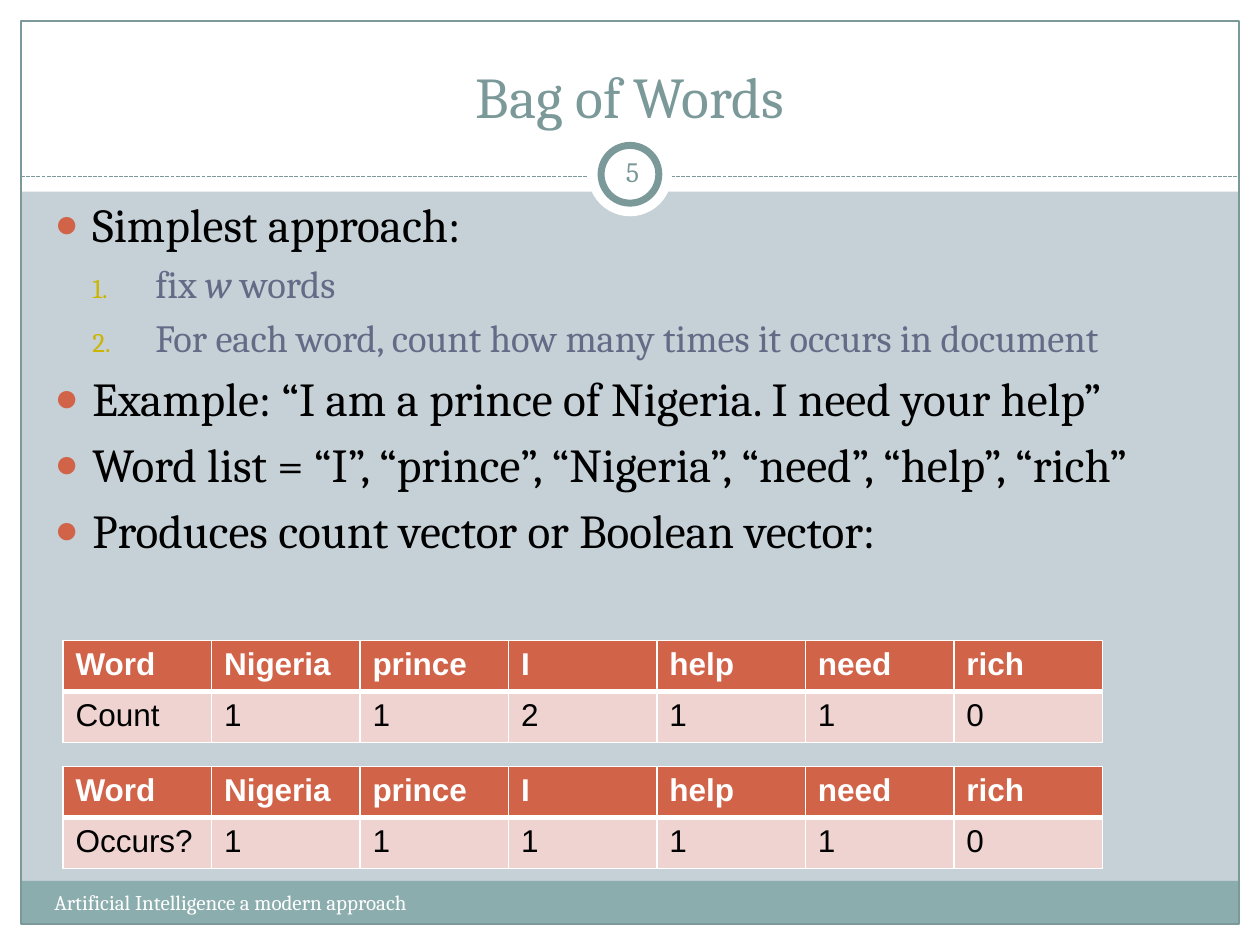
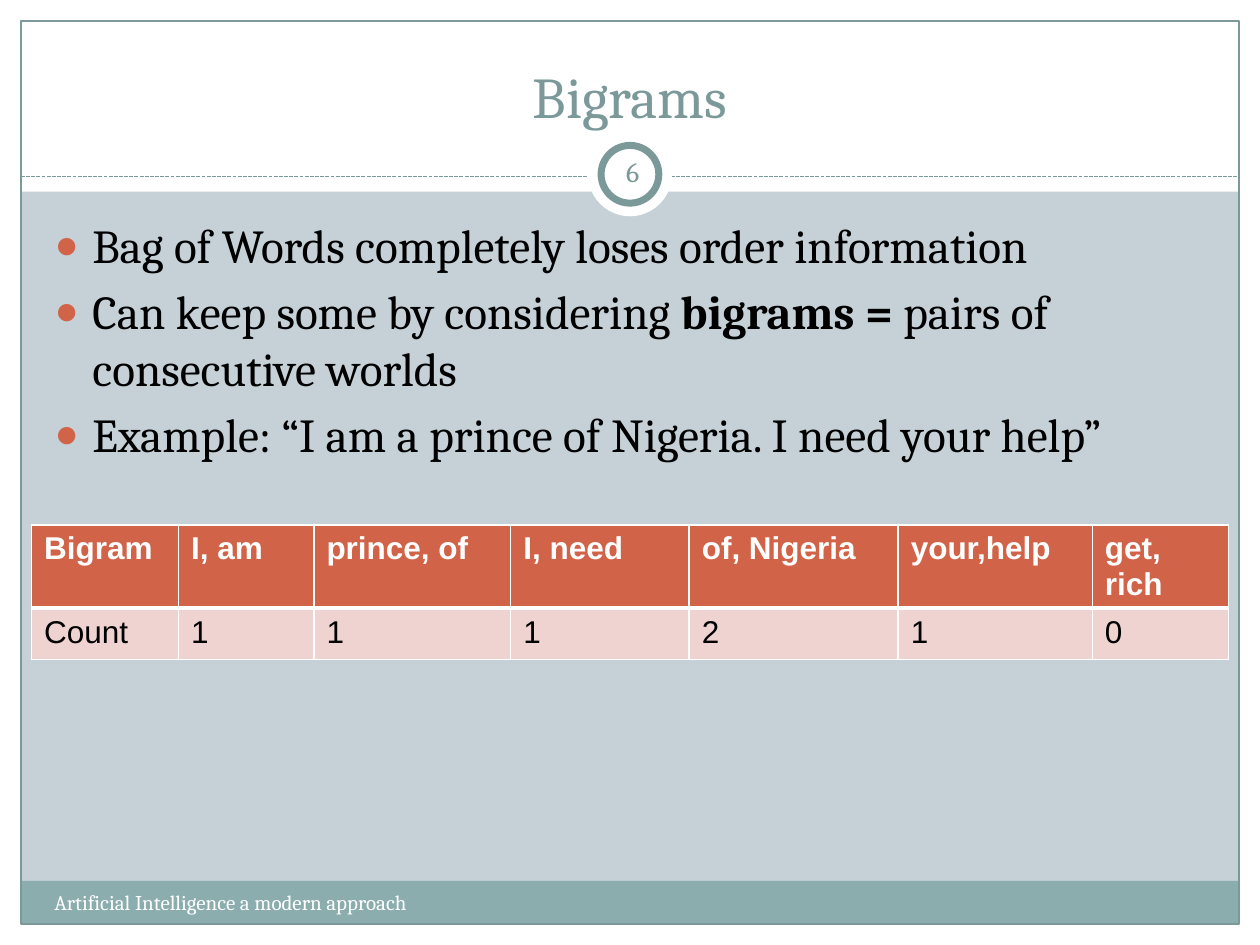
from dataclasses import dataclass

from lxml import etree
from pptx import Presentation
from pptx import util as u
from pptx.dml.color import RGBColor
from pptx.enum import dml, shapes, text
from pptx.oxml import ns


@dataclass(frozen=True)
class Theme:
    back: str = "C5D1D7"
    white: str = "FFFFFF"
    black: str = "000000"
    edge: str = "7C999A"
    band: str = "8CADAE"
    page: str = "7B9899"
    head: str = "D16349"
    cell: str = "EED3D0"
    mark: str = "CCB400"
    sub: str = "646B86"
    serif: str = "Cambria"
    sans: str = "Arial"
    title: int = 33
    main: int = 27
    step: int = 22
    table: int = 18
    num: int = 16
    foot: int = 12


T = Theme()
COLS, ROWS = 120, 90
WIDE, HIGH = u.Inches(10), u.Inches(7.5)
RECT, OVAL = shapes.MSO_SHAPE.RECTANGLE, shapes.MSO_SHAPE.OVAL
LEFT, MID = text.PP_ALIGN.LEFT, text.PP_ALIGN.CENTER
TOP, CORE, LOW = (text.MSO_ANCHOR.TOP, text.MSO_ANCHOR.MIDDLE,
                  text.MSO_ANCHOR.BOTTOM)


def px(col):
    return round(WIDE * col / COLS)


def py(row):
    return round(HIGH * row / ROWS)


def grid(x, y, w, h):
    return px(x), py(y), px(w), py(h)


def rgb(code):
    return RGBColor.from_string(code)


def node(parent, tag, **attrs):
    return etree.SubElement(parent, ns.qn(tag), attrs)


def write(para, runs, size, color, font=T.serif, bold=False, align=LEFT):
    para.alignment = align
    for item in [runs] if isinstance(runs, str) else runs:
        words, style = (item, "") if isinstance(item, str) else item
        run = para.add_run()
        run.text = words
        run.font.name = font
        run.font.size = u.Pt(size)
        run.font.color.rgb = rgb(color)
        run.font.bold = bold or style == "bold"
        run.font.italic = style == "italic"


def setup(frame, anchor=TOP, inset=None):
    frame.word_wrap = True
    frame.auto_size = text.MSO_AUTO_SIZE.NONE
    frame.vertical_anchor = anchor
    if inset is not None:
        frame.margin_left = frame.margin_right = u.Inches(inset)
        frame.margin_top = frame.margin_bottom = u.Inches(inset)


def shape(slide, kind, area, fill=None, line=None, width=0.75):
    item = slide.shapes.add_shape(kind, *grid(*area))
    item.shadow.inherit = False
    if fill:
        item.fill.solid()
        item.fill.fore_color.rgb = rgb(fill)
    else:
        item.fill.background()
    if line:
        item.line.color.rgb = rgb(line)
        item.line.width = u.Pt(width)
    else:
        item.line.fill.background()


def rule(slide, left, right, row):
    line = slide.shapes.add_connector(
        shapes.MSO_CONNECTOR.STRAIGHT, px(left), py(row), px(right), py(row))
    line.line.color.rgb = rgb(T.edge)
    line.line.width = u.Pt(0.75)
    line.line.dash_style = dml.MSO_LINE.SQUARE_DOT
    node(line.element.spPr, "a:effectLst")


def label(slide, area, words, anchor=TOP, inset=None, **form):
    box = slide.shapes.add_textbox(*grid(*area))
    setup(box.text_frame, anchor, inset)
    write(box.text_frame.paragraphs[0], words, **form)


def frame(slide):
    slide.background.fill.solid()
    slide.background.fill.fore_color.rgb = rgb(T.back)
    for area in ((0, 88, COLS, 2), (0, 0, COLS, 18.25),
                 (0, 0, 2, ROWS), (118, 0, 2, ROWS)):
        shape(slide, RECT, area, T.white)
    shape(slide, RECT, (2, 83.9, 116, 4.1), T.band)
    shape(slide, RECT, (2, 2, 116, 86), line=T.edge)
    rule(slide, 2, 118, 16.8)
    shape(slide, OVAL, (56, 12.6, 8, 8), T.white)
    shape(slide, OVAL, (57.25, 13.85, 5.5, 5.5), T.white, T.edge, 4)


def place(slide, holder, area):
    holder.left, holder.top, holder.width, holder.height = grid(*area)
    slide.shapes.element.append(holder.element)
    return holder.text_frame


def bullet(para, level):
    left, hang, color, size = ((0.3, 0.3, T.head, 85),
                               (0.8, 0.5, T.mark, 70))[level]
    para.level = level
    props = para._p.get_or_add_pPr()
    props.set("marL", str(u.Inches(left)))
    props.set("indent", str(-u.Inches(hang)))
    node(node(props, "a:buClr"), "a:srgbClr", val=color)
    node(props, "a:buSzPct", val=str(size * 1000))
    node(props, "a:buFont", typeface=T.serif if level else T.sans)
    if level:
        node(props, "a:buAutoNum", type="arabicPeriod")
    else:
        node(props, "a:buChar", char="●")


def points(slide, area, items):
    body = place(slide, slide.placeholders[1], area)
    setup(body)
    for pos, (level, runs) in enumerate(items):
        para = body.add_paragraph() if pos else body.paragraphs[0]
        write(para, runs, size=(T.main, T.step)[level],
              color=(T.black, T.sub)[level])
        bullet(para, level)


def border(cell, **widths):
    props = cell._tc.get_or_add_tcPr()
    for pos, side in enumerate("LRTB"):
        line = etree.Element(ns.qn("a:ln" + side),
                             w=str(u.Pt(widths.get(side, 1))))
        node(node(line, "a:solidFill"), "a:srgbClr", val=T.white)
        props.insert(pos, line)


def table(slide, x, y, widths, rows):
    high = 4.87
    item = slide.shapes.add_table(
        len(rows), len(widths),
        *grid(x, y, sum(widths), high * len(rows))).table
    item.horz_banding = False
    for col, wide in zip(item.columns, widths):
        col.width = px(wide)
    for r, row in enumerate(rows):
        item.rows[r].height = py(high)
        top = r == 0
        for c, words in enumerate(row):
            cell = item.cell(r, c)
            cell.fill.solid()
            cell.fill.fore_color.rgb = rgb(T.head if top else T.cell)
            border(cell, **({"B": 3} if top else {"T": 3}))
            write(cell.text_frame.paragraphs[0], words, size=T.table,
                  color=T.white if top else T.black, font=T.sans, bold=top)


def page(deck, number, name, area, items):
    slide = deck.slides.add_slide(deck.slide_layouts[1])
    frame(slide)
    title = place(slide, slide.shapes.title, (4, 3, 112, 10))
    setup(title, LOW)
    write(title.paragraphs[0], name, size=T.title, color=T.edge, align=MID)
    points(slide, area, items)
    label(slide, (4, 84.12, 47, 4.8),
          "Artificial Intelligence a modern approach",
          size=T.foot, color=T.white)
    label(slide, (57.25, 13.45, 6, 5.75), str(number), CORE, 0.05,
          size=T.num, color=T.page, align=MID)
    return slide


def main():
    deck = Presentation()
    deck.slide_width, deck.slide_height = WIDE, HIGH
    quote = "Example: “I am a prince of Nigeria. I need your help”"

    bag = page(deck, 5, "Bag of Words", (4, 18, 111.6, 38), [
        (0, "Simplest approach:"),
        (1, ["fix ", ("w", "italic"), " words"]),
        (1, "For each word, count how many times it occurs in document"),
        (0, quote),
        (0, "Word list = “I”, “prince”, “Nigeria”, “need”, “help”, “rich”"),
        (0, "Produces count vector or Boolean vector:"),
    ])
    words = ["Word", "Nigeria", "prince", "I", "help", "need", "rich"]
    for y, row in ((61, ["Count", *"112110"]), (73, ["Occurs?", *"111110"])):
        table(bag, 6, y, [99 / len(words)] * len(words), [words, row])

    pairs = page(deck, 6, "Bigrams", (4, 20, 111.6, 28), [
        (0, "Bag of Words completely loses order information"),
        (0, ["Can keep some by considering ", ("bigrams =", "bold"),
             " pairs of consecutive worlds"]),
        (0, quote),
    ])
    table(pairs, 3, 50, [14, 12.9, 18.75, 17, 19.9, 18.5, 12.95], [
        ["Bigram", "I, am", "prince, of", "I, need", "of, Nigeria",
         "your,help", "get, rich"],
        ["Count", *"111210"],
    ])
    deck.save("out.pptx")


if __name__ == "__main__":
    main()
